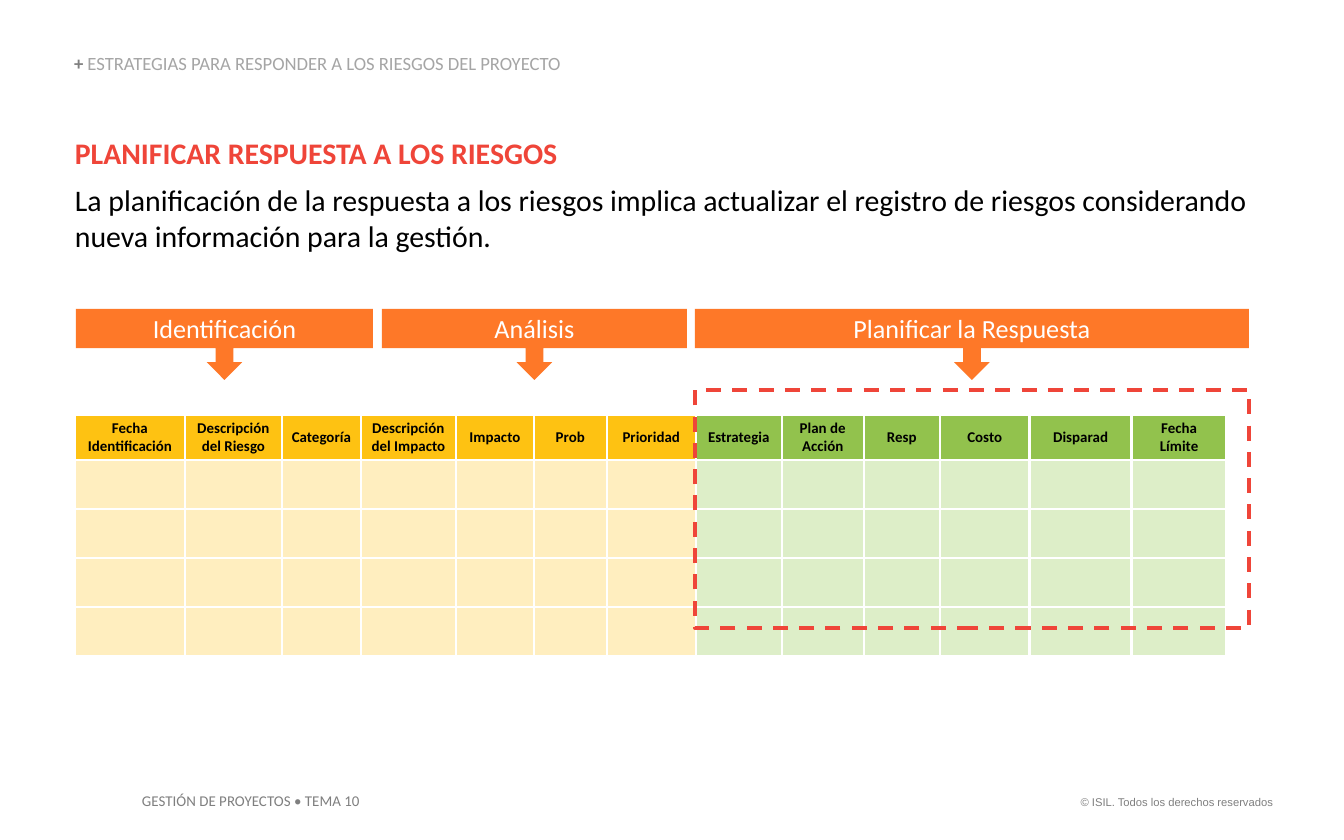
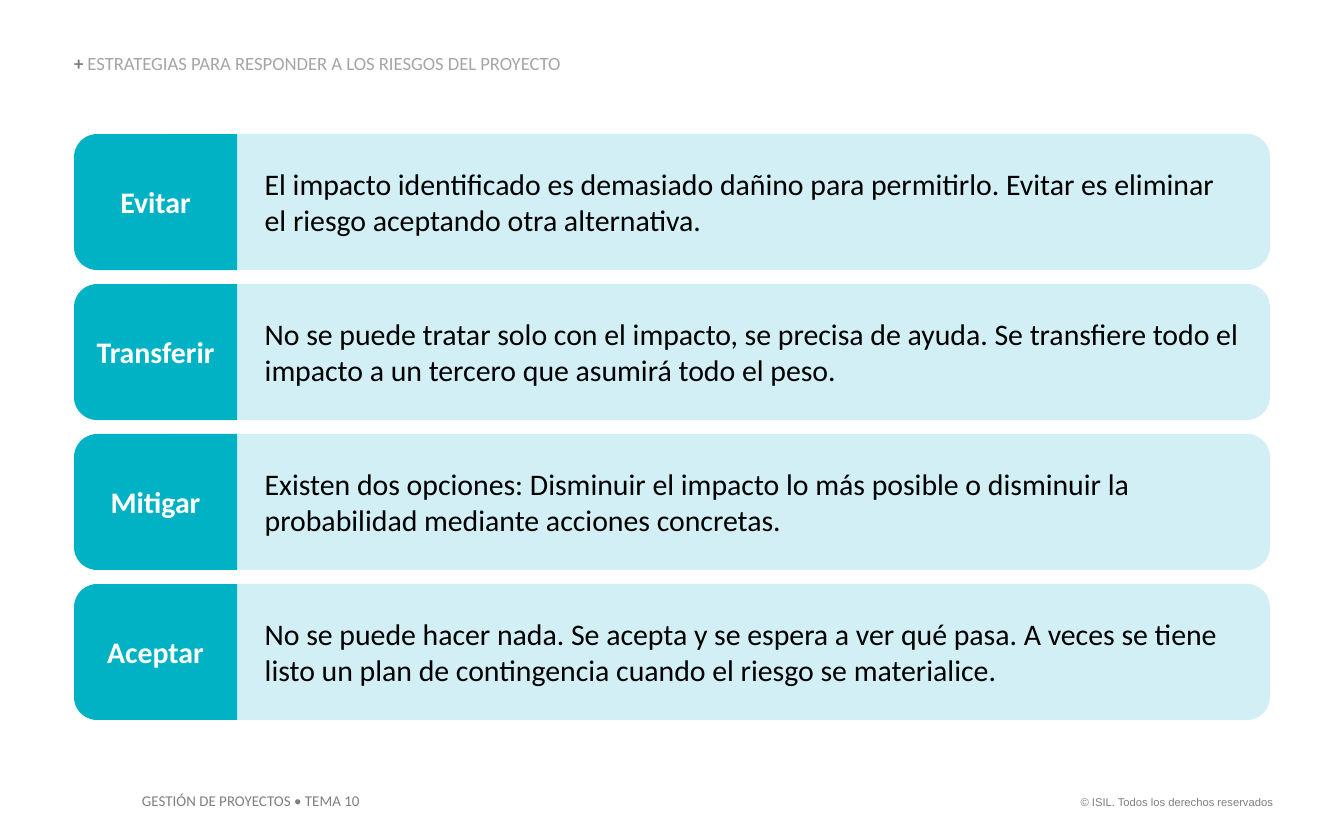
from lxml import etree
from pptx import Presentation
from pptx.dml.color import RGBColor
from pptx.enum.dml import MSO_LINE
from pptx.enum.shapes import MSO_SHAPE
from pptx.enum.text import MSO_ANCHOR, PP_ALIGN
from pptx.oxml.ns import qn
from pptx.util import Emu, Pt

LEFT, CENTER, RIGHT = PP_ALIGN.LEFT, PP_ALIGN.CENTER, PP_ALIGN.RIGHT
TOP, MIDDLE, BOTTOM = MSO_ANCHOR.TOP, MSO_ANCHOR.MIDDLE, MSO_ANCHOR.BOTTOM
CALLOUT, RECT = MSO_SHAPE.DOWN_ARROW_CALLOUT, MSO_SHAPE.RECTANGLE
CARD, TAB = MSO_SHAPE.ROUNDED_RECTANGLE, MSO_SHAPE.ROUND_2_SAME_RECTANGLE
DASH = MSO_LINE.DASH

ORANGE, RED, TEAL, PALE_TEAL = "FE7828", "EF4539", "00B2C4", "D1EFF4"
AMBER, PALE_AMBER, GREEN, PALE_GREEN = "FEC212", "FFEEBF", "92C24D", "DDEEC8"
GRAY, LIGHT_GRAY, BLACK, WHITE = "7F7F7F", "A5A5A5", "000000", "FFFFFF"

SECTION = "ESTRATEGIAS PARA RESPONDER A LOS RIESGOS DEL PROYECTO"
COURSE = "GESTIÓN DE PROYECTOS • TEMA 10"
RIGHTS = "© ISIL. Todos los derechos reservados"

HEADING = "PLANIFICAR RESPUESTA A LOS RIESGOS"
INTRO = ("La planificación de la respuesta a los riesgos implica actualizar el registro "
         "de riesgos considerando nueva información para la gestión.")
PHASES = [("Identificación", 76, 297), ("Análisis", 382, 305), ("Planificar la Respuesta", 695, 554)]
COLUMNS = [
    ("Fecha\nIdentificación", 110), ("Descripción del Riesgo", 97), ("Categoría", 79),
    ("Descripción del Impacto", 95), ("Impacto", 78), ("Prob", 73), ("Prioridad", 89),
    ("Estrategia", 86), ("Plan de Acción", 82), ("Resp", 76), ("Costo", 90),
    ("Disparad", 102), ("Fecha Límite", 95),
]
KNOWN_COLUMNS = 7
BODY_ROWS = 4
HEAD_H, BODY_H = 45, 49

STRATEGIES = [
    ("Evitar", "El impacto identificado es demasiado dañino para permitirlo. "
               "Evitar es eliminar el riesgo aceptando otra alternativa."),
    ("Transferir", "No se puede tratar solo con el impacto, se precisa de ayuda. "
                   "Se transfiere todo el impacto a un tercero que asumirá todo el peso."),
    ("Mitigar", "Existen dos opciones: Disminuir el impacto lo más posible o "
                "disminuir la probabilidad mediante acciones concretas."),
    ("Aceptar", "No se puede hacer nada. Se acepta y se espera a ver qué pasa. "
                "A veces se tiene listo un plan de contingencia cuando el riesgo se materialice."),
]
CARD_TOP, CARD_PITCH, CARD_H = 134, 150, 136
TAB_X, TAB_W = 74, 163


def px(n):
    return Emu(round(n * 914400 / 134.4))


def rgb(value):
    return RGBColor.from_string(value)


def style(size, color, bold=False, name="Calibri"):
    return {"size": Pt(size), "bold": bold, "name": name, "color": color}


def add_run(p, text, fmt):
    r = p.add_run()
    r.text = text
    for key, value in fmt.items():
        if key == "color":
            r.font.color.rgb = rgb(value)
        else:
            setattr(r.font, key, value)


def write(sp, paragraphs, align=LEFT, anchor=TOP, margins=(13, 7, 13, 7), **spacing):
    tf = sp.text_frame
    tf.word_wrap = True
    tf.vertical_anchor = anchor
    for side, margin in zip(("left", "top", "right", "bottom"), margins):
        setattr(tf, "margin_" + side, px(margin))
    for i, runs in enumerate(paragraphs):
        p = tf.add_paragraph() if i else tf.paragraphs[0]
        p.alignment = align
        for key, value in spacing.items():
            if i or key != "space_before":
                setattr(p, key, value)
        for text, fmt in runs:
            add_run(p, text, fmt)


def add_text(s, box, paragraphs, **layout):
    write(s.shapes.add_textbox(*map(px, box)), paragraphs, **layout)


def add_block(s, kind, box, fill=None, adjustments=()):
    sp = s.shapes.add_shape(kind, *map(px, box))
    sp.shadow.inherit = False
    sp.line.fill.background()
    if fill:
        sp.fill.solid()
        sp.fill.fore_color.rgb = rgb(fill)
    else:
        sp.fill.background()
    for i, value in enumerate(adjustments):
        sp.adjustments[i] = value
    return sp


def add_slide(prs):
    s = prs.slides.add_slide(prs.slide_layouts[6])
    add_text(s, (1063, 789, 223, 27), [[(RIGHTS, style(6, GRAY, name="Arial"))]], align=RIGHT)
    add_text(s, (129, 785, 249, 32), [[(COURSE, style(8, GRAY))]])
    add_text(s, (74, 55, 698, 20),
             [[("+ ", style(10, GRAY, True)), (SECTION, style(10, LIGHT_GRAY))]],
             anchor=BOTTOM, margins=(0, 0, 0, 0), line_spacing=0.9)
    return s


def set_borders(cell):
    tcPr = cell._tc.get_or_add_tcPr()
    for i, side in enumerate(("a:lnL", "a:lnR", "a:lnT", "a:lnB")):
        ln = etree.Element(qn(side), w=str(Pt(1.5)))
        fill = etree.SubElement(ln, qn("a:solidFill"))
        etree.SubElement(fill, qn("a:srgbClr"), val=WHITE)
        tcPr.insert(i, ln)


def fill_cell(cell, text, fill):
    cell.fill.solid()
    cell.fill.fore_color.rgb = rgb(fill)
    cell.vertical_anchor = MIDDLE
    cell.margin_left = cell.margin_right = px(9)
    cell.margin_top = cell.margin_bottom = px(4)
    if text:
        for i, line in enumerate(text.split("\n")):
            p = cell.text_frame.add_paragraph() if i else cell.text_frame.paragraphs[0]
            p.alignment = CENTER
            add_run(p, line, style(8, BLACK, True))
    set_borders(cell)


def add_register(s, x, y):
    width = sum(w for _, w in COLUMNS)
    height = HEAD_H + BODY_ROWS * BODY_H
    frame = s.shapes.add_table(BODY_ROWS + 1, len(COLUMNS), *map(px, (x, y, width, height)))
    table = frame.table
    for i, row in enumerate(table.rows):
        row.height = px(BODY_H if i else HEAD_H)
    for j, (title, w) in enumerate(COLUMNS):
        table.columns[j].width = px(w)
        head, body = (AMBER, PALE_AMBER) if j < KNOWN_COLUMNS else (GREEN, PALE_GREEN)
        for i in range(BODY_ROWS + 1):
            fill_cell(table.cell(i, j), "" if i else title, body if i else head)


def register_slide(prs):
    s = add_slide(prs)
    for name, x, w in PHASES:
        sp = add_block(s, CALLOUT, (x, 309, w, 71), ORANGE, (0.25, 0.25, 0.25, 0.55))
        write(sp, [[(name, style(14, WHITE))]], align=CENTER, anchor=MIDDLE)
    add_text(s, (75, 135, 1206, 125),
             [[(HEADING, style(16, RED, True))], [(INTRO, style(16, BLACK))]],
             margins=(0, 0, 0, 5), space_before=Pt(6))
    add_register(s, 75, 415)
    _, x, w = PHASES[-1]
    frame = add_block(s, RECT, (x, 390, w, 238))
    frame.line.color.rgb = rgb(RED)
    frame.line.width = Pt(2)
    frame.line.dash_style = DASH


def strategies_slide(prs):
    s = add_slide(prs)
    turn = (TAB_W - CARD_H) / 2
    for i, (name, text) in enumerate(STRATEGIES):
        y = CARD_TOP + i * CARD_PITCH
        card = add_block(s, CARD, (146, y, 1124, CARD_H), PALE_TEAL, (0.17,))
        write(card, [[(text, style(16, BLACK))]], anchor=MIDDLE, margins=(112, 0, 22, 0))
        tab = add_block(s, TAB, (TAB_X + turn, y - turn, CARD_H, TAB_W), TEAL, (0.17, 0))
        tab.rotation = 270
        add_text(s, (TAB_X, y + 43, TAB_W, 50), [[(name, style(16, WHITE, True))]], align=CENTER)


def main():
    prs = Presentation()
    prs.slide_width, prs.slide_height = px(1344), px(840)
    register_slide(prs)
    strategies_slide(prs)
    prs.save("out.pptx")


if __name__ == "__main__":
    main()
